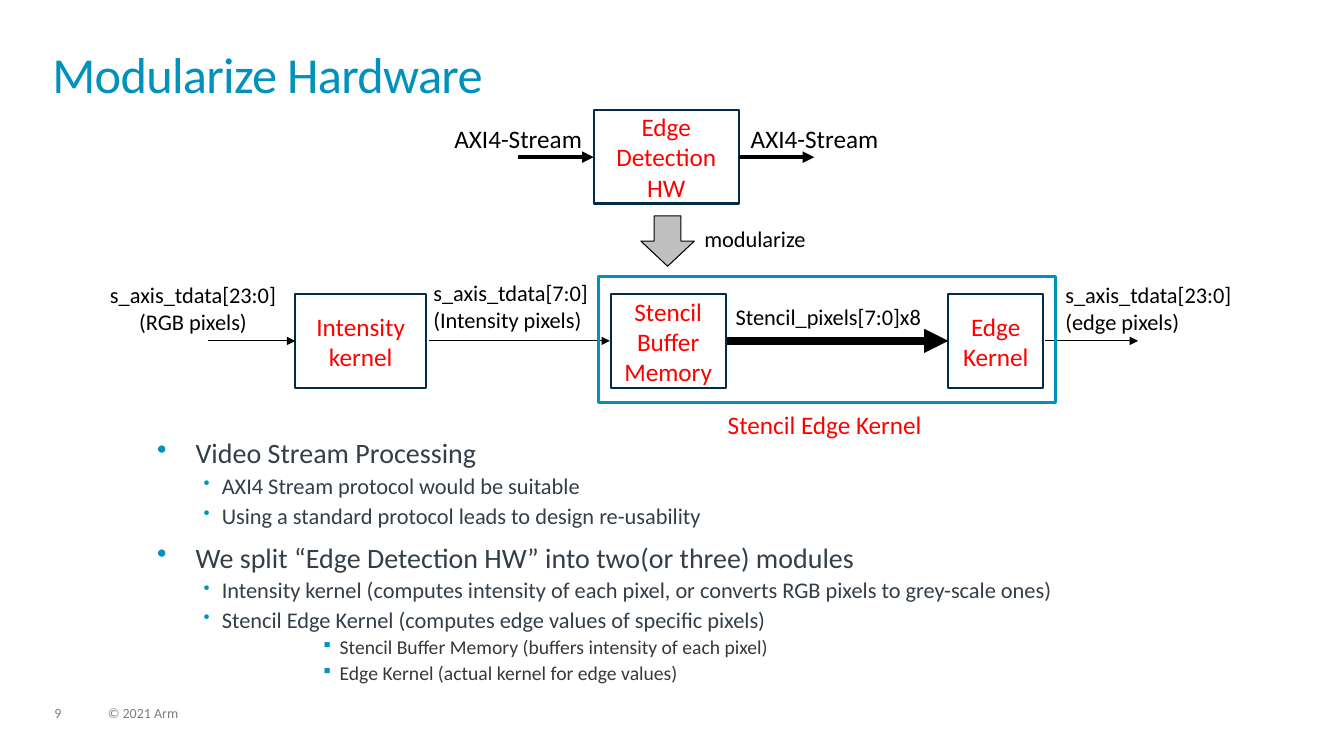
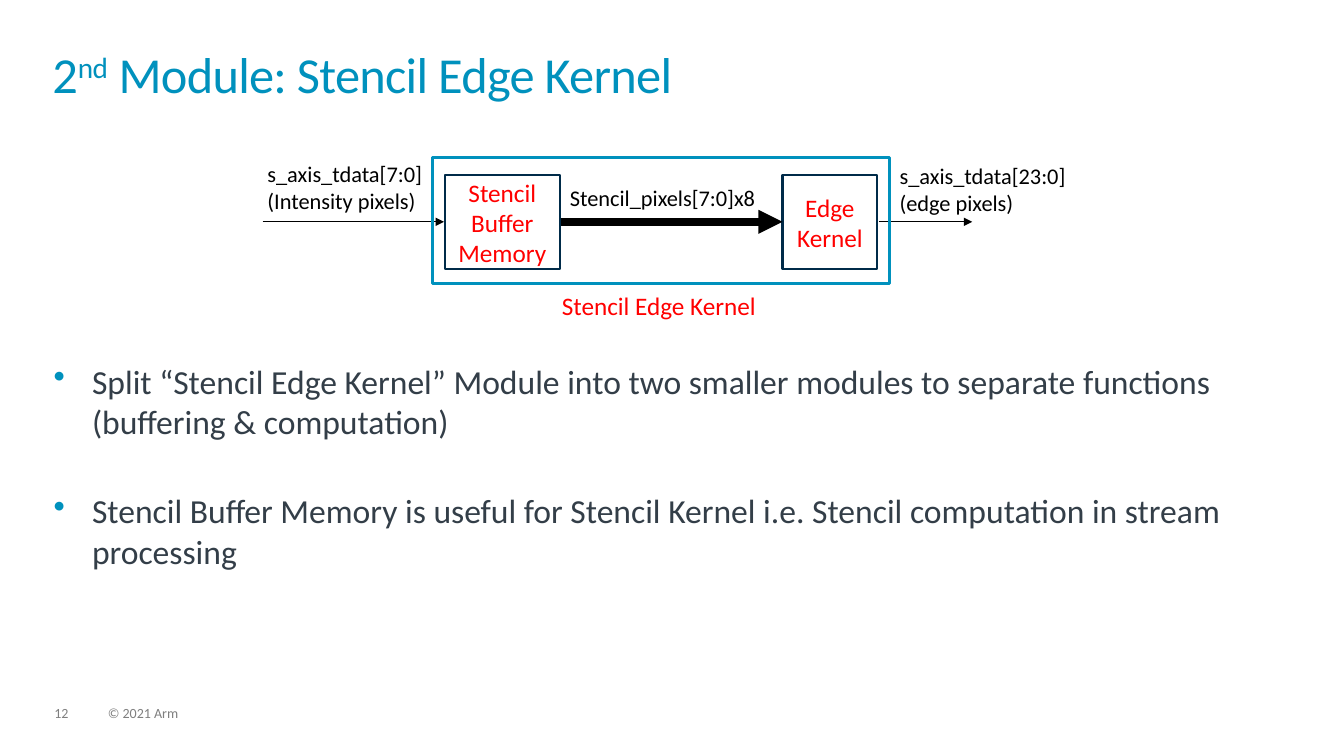
import dataclasses

import lxml.etree
import pptx
import pptx.dml.color
import pptx.enum.shapes
import pptx.enum.text
import pptx.oxml.ns
import pptx.util

Cm = pptx.util.Cm
Pt = pptx.util.Pt
RGB = pptx.dml.color.RGBColor.from_string
Form = pptx.enum.shapes.MSO_SHAPE
Align = pptx.enum.text.PP_ALIGN
Anchor = pptx.enum.text.MSO_ANCHOR
qn = pptx.oxml.ns.qn


@dataclasses.dataclass(frozen=True)
class Theme:
    font: str = "Calibri"
    blue: str = "0091BD"
    navy: str = "002B49"
    slate: str = "333E48"
    coal: str = "383838"
    red: str = "FF0000"
    black: str = "000000"
    silver: str = "C0C0C0"
    gray: str = "7F7F7F"
    title: int = 36
    block: int = 18
    label: int = 16
    foot: int = 10


theme = Theme()


def put(page, spot, text="", size=theme.label, tint=theme.black, align=Align.LEFT,
        form=None, edge=None, width=1.5, fill=None, pad=(0.25, 0.13), wrap=False):
    place = [Cm(part) for part in spot]
    if form is None:
        shape = page.shapes.add_textbox(*place)
    else:
        shape = page.shapes.add_shape(form, *place)
        shape.shadow.inherit = False
        shape.line.color.rgb = RGB(edge)
        shape.line.width = Pt(width)
        if fill:
            shape.fill.solid()
            shape.fill.fore_color.rgb = RGB(fill)
        else:
            shape.fill.background()
    frame = shape.text_frame
    frame.word_wrap = wrap
    frame.margin_left = frame.margin_right = Cm(pad[0])
    frame.margin_top = frame.margin_bottom = Cm(pad[1])
    frame.vertical_anchor = Anchor.MIDDLE if form else Anchor.TOP
    frame.text = text
    for para in frame.paragraphs:
        para.alignment = align
        for run in para.runs:
            run.font.name = theme.font
            run.font.size = Pt(size)
            run.font.color.rgb = RGB(tint)
    return frame


def arrow(page, start, end, level, width):
    line = page.shapes.add_connector(
        pptx.enum.shapes.MSO_CONNECTOR.STRAIGHT,
        Cm(start), Cm(level), Cm(end), Cm(level))
    line.line.color.rgb = RGB(theme.black)
    line.line.width = Pt(width)
    lxml.etree.SubElement(line.line._get_or_add_ln(), qn("a:tailEnd"), type="triangle")
    lxml.etree.SubElement(line._element.spPr, qn("a:effectLst"))


deck = pptx.Presentation()
deck.slide_width = Cm(33.87)
deck.slide_height = Cm(19.05)

ranks = {
    0: dict(left=0.97, hang=0.97, mark="•", scale=100, tint=theme.slate),
    1: dict(left=1.63, hang=0.46, mark="•", scale=80, tint=theme.slate),
    5: dict(left=4.6, hang=0.46, mark="▪", scale=80, tint=theme.coal),
}

plans = [
    dict(
        number="9",
        title=["Modularize Hardware"],
        kernel=(15.09, 6.96),
        body=(3.96, 10.9, 25.96, 6.88),
        sizes={0: 20, 1: 16, 5: 14},
        pitch=1.1,
        gap=6,
        points=[
            (0, "Video Stream Processing"),
            (1, "AXI4 Stream protocol would be suitable"),
            (1, "Using a standard protocol leads to design re-usability"),
            (0, "We split “Edge Detection HW” into two(or three) modules"),
            (1, "Intensity kernel (computes intensity of each pixel, "
                "or converts RGB pixels to grey-scale ones)"),
            (1, "Stencil Edge Kernel (computes edge values of specific pixels)"),
            (5, "Stencil Buffer Memory (buffers intensity of each pixel)"),
            (5, "Edge Kernel (actual kernel for edge values)"),
        ],
    ),
    dict(
        number="12",
        title=["2", "nd", " Module: Stencil Edge Kernel"],
        kernel=(10.91, 3.96),
        body=(1.35, 9.09, 31.78, 5.92),
        sizes={0: 24},
        pitch=1.0,
        gap=35,
        points=[
            (0, "Split “Stencil Edge Kernel” Module into two smaller modules "
                "to separate functions (buffering & computation)"),
            (0, "Stencil Buffer Memory is useful for Stencil Kernel "
                "i.e. Stencil computation in stream processing"),
        ],
    ),
]

block = dict(size=theme.block, tint=theme.red, align=Align.CENTER,
             form=Form.RECTANGLE, edge=theme.navy, pad=(0.2, 0.1), wrap=True)
pages = []

for plan in plans:
    page = deck.slides.add_slide(deck.slide_layouts[6])
    pages.append(page)

    for left, wide, text in [(1.37, 0.86, plan["number"]), (2.72, 12.88, "© 2021 Arm")]:
        frame = put(page, (left, 17.81, wide, 0.38), text, theme.foot, theme.gray, pad=(0, 0))
        frame.paragraphs[0].line_spacing = 0.9

    head = put(page, (1.32, 1.32, 31.19, 1.83), pad=(0, 0), wrap=True).paragraphs[0]
    head.line_spacing = 0.85
    for index, part in enumerate(plan["title"]):
        run = head.add_run()
        run.text = part
        run.font.name = theme.font
        run.font.size = Pt(theme.title)
        run.font.color.rgb = RGB(theme.blue)
        props = run._r.get_or_add_rPr()
        props.set("spc", "-50")
        if index == 1:
            props.set("baseline", "30000")

    lines = "\n".join(text for rank, text in plan["points"])
    frame = put(page, plan["body"], lines, pad=(0, 0), wrap=True)
    for index, (para, (rank, text)) in enumerate(zip(frame.paragraphs, plan["points"])):
        style = ranks[rank]
        para.line_spacing = plan["pitch"]
        para.space_before = Pt(plan["gap"] if index and rank == 0 else 0)
        props = para._p.get_or_add_pPr()
        props.set("marL", str(Cm(style["left"])))
        props.set("indent", str(-Cm(style["hang"])))
        tint = lxml.etree.SubElement(props, qn("a:buClr"))
        lxml.etree.SubElement(tint, qn("a:srgbClr"), val=theme.blue)
        lxml.etree.SubElement(props, qn("a:buSzPct"), val=str(style["scale"] * 1000))
        lxml.etree.SubElement(props, qn("a:buChar"), char=style["mark"])
        for run in para.runs:
            run.font.size = Pt(plan["sizes"][rank])
            run.font.color.rgb = RGB(style["tint"])

    left, top = plan["kernel"]
    for shift, wide, text in [(0.3, 2.9, "Stencil\nBuffer\nMemory"), (8.81, 2.39, "Edge\nKernel")]:
        put(page, (left + shift, top + 0.46, wide, 2.36), text, **block)
    for start, end, width in [(-4.29, 0.28, 0.75), (3.22, 8.81, 5.75), (11.25, 13.59, 0.75)]:
        arrow(page, left + start, left + end, top + 1.63, width)
    for shift, drop, wide, high, text in [
        (-4.42, -0.05, 4.45, 1.63, "s_axis_tdata[7:0]\n(Intensity pixels)"),
        (11.51, 0, 4.75, 1.63, "s_axis_tdata[23:0]\n(edge pixels)"),
        (3.2, 0.56, 5.23, 0.94, "Stencil_pixels[7:0]x8"),
    ]:
        put(page, (left + shift, top + drop, wide, high), text)
    put(page, (left + 3, top + 3.23, 5.69, 1.02), "Stencil Edge Kernel", theme.block, theme.red)
    put(page, (left, top, 11.51, 3.18), form=Form.RECTANGLE, edge=theme.blue, width=2.25)

page = pages[0]
put(page, (14.96, 2.77, 3.66, 2.36), "Edge\nDetection\nHW", **block)
put(page, (7.44, 7.42, 3.3, 2.36), "Intensity\nkernel", **block)
put(page, (16.15, 5.44, 1.35, 1.27), form=Form.DOWN_ARROW,
    edge=theme.black, width=0.75, fill=theme.silver)
put(page, (17.5, 5.54, 3.1, 0.94), "modularize")
put(page, (2.49, 6.96, 4.75, 1.63), "s_axis_tdata[23:0]\n(RGB pixels)", align=Align.CENTER)
arrow(page, 5.23, 7.44, 8.59, 0.75)
for start, left in [(13.06, 11.2), (18.62, 18.67)]:
    arrow(page, start, start + 1.9, 3.96, 2.75)
    put(page, (left, 2.97, 3.76, 1.02), "AXI4-Stream", theme.block)

deck.save("out.pptx")
